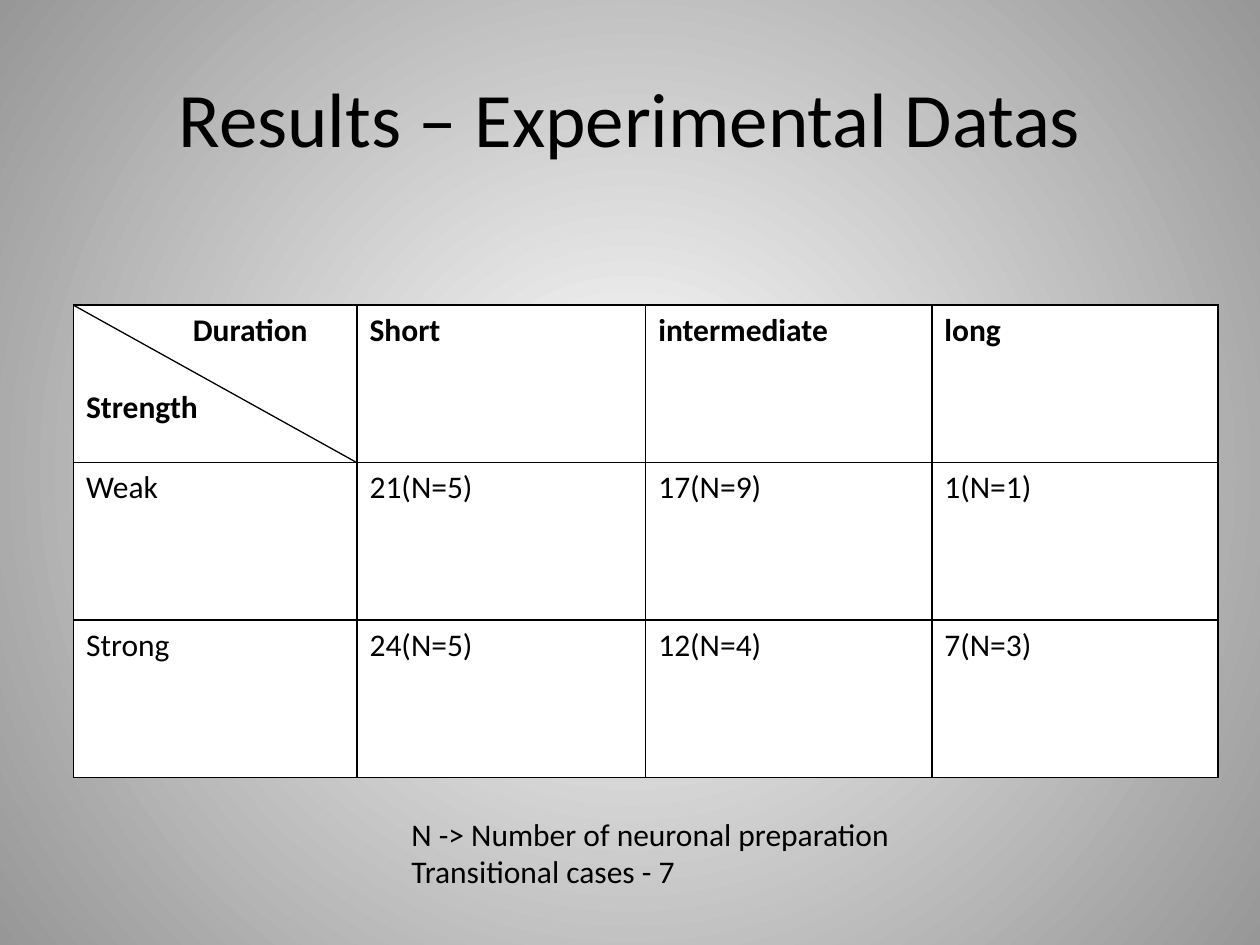
from lxml import etree
from pptx import Presentation
from pptx.dml.color import RGBColor
from pptx.enum import shapes, text
from pptx.oxml.ns import qn
from pptx.util import Pt

TITLE = "Results – Experimental Datas"
CORNER = ("Duration", "Strength")
ROWS = [
    ("\n".join(CORNER), "Short", "intermediate", "long"),
    ("Weak", "21(N=5)", "17(N=9)", "1(N=1)"),
    ("Strong", "24(N=5)", "12(N=4)", "7(N=3)"),
]
NOTES = ("N -> Number of neuronal preparation", "Transitional cases - 7")

COLORS = {"ink": "000000", "paper": "FFFFFF", "edge": "979797"}
FONT = "Calibri"
LEFT, TOP, ROW_H = 42, 174.4, 90
COL_WIDTHS = (162, 165, 163.5, 163.5)


def rgb(name):
    return RGBColor.from_string(COLORS[name])


def style(p, size, bold=False):
    p.font.name, p.font.size, p.font.bold = FONT, Pt(size), bold
    p.font.color.rgb = rgb("ink")


def radial_background(s):
    """Fill the slide with a circular gradient, light in the centre."""
    fill = s.background.fill
    fill.gradient()
    for stop, name in zip(fill.gradient_stops, ("paper", "edge")):
        stop.color.rgb = rgb(name)
    grad = next(s.element.iter(qn("a:gradFill")))
    grad.remove(grad.find(qn("a:lin")))
    circle = etree.SubElement(grad, qn("a:path"), {"path": "circle"})
    etree.SubElement(circle, qn("a:fillToRect"), dict.fromkeys("ltrb", "50000"))


def add_borders(frame):
    for props in frame.element.iter(qn("a:tcPr")):
        for i, side in enumerate(("lnL", "lnR", "lnT", "lnB")):
            ln = etree.Element(qn(f"a:{side}"), w=str(Pt(1)))
            solid = etree.SubElement(ln, qn("a:solidFill"))
            etree.SubElement(solid, qn("a:srgbClr"), val=COLORS["ink"])
            props.insert(i, ln)


def add_results(s):
    frame = s.shapes.add_table(len(ROWS), len(COL_WIDTHS), Pt(LEFT), Pt(TOP),
                               Pt(sum(COL_WIDTHS)), Pt(ROW_H * len(ROWS)))
    table = frame.table
    for col, width in zip(table.columns, COL_WIDTHS):
        col.width = Pt(width)
    for r, row in enumerate(ROWS):
        table.rows[r].height = Pt(ROW_H)
        for c, words in enumerate(row):
            cell = table.cell(r, c)
            cell.fill.solid()
            cell.fill.fore_color.rgb = rgb("paper")
            cell.text = words
            for p in cell.text_frame.paragraphs:
                style(p, 18, bold=r == 0)
    add_borders(frame)

    duration, strength = table.cell(0, 0).text_frame.paragraphs
    duration.alignment = text.PP_ALIGN.LEFT
    next(frame.element.iter(qn("a:pPr"))).set("marL", str(Pt(61)))
    strength.space_before = Pt(22)

    diagonal = s.shapes.add_connector(
        shapes.MSO_CONNECTOR.STRAIGHT, Pt(LEFT), Pt(TOP),
        Pt(LEFT + COL_WIDTHS[0]), Pt(TOP + ROW_H))
    diagonal.line.color.rgb = rgb("ink")
    diagonal.line.width = Pt(0.75)
    etree.SubElement(diagonal.element.spPr, qn("a:effectLst"))


def main():
    prs = Presentation()
    prs.slide_width, prs.slide_height = Pt(720), Pt(540)
    s = prs.slides.add_slide(prs.slide_layouts[5])
    radial_background(s)

    title = s.shapes.title
    title.left, title.top, title.width, title.height = Pt(36), Pt(21.6), Pt(648), Pt(90)
    title.text_frame.text = TITLE
    title.text_frame.vertical_anchor = text.MSO_ANCHOR.MIDDLE
    p = title.text_frame.paragraphs[0]
    p.alignment = text.PP_ALIGN.CENTER
    style(p, 44)

    add_results(s)

    tf = s.shapes.add_textbox(Pt(228), Pt(462), Pt(295), Pt(51)).text_frame
    tf.word_wrap = False
    tf.auto_size = text.MSO_AUTO_SIZE.SHAPE_TO_FIT_TEXT
    tf.text = "\n".join(NOTES)
    for p in tf.paragraphs:
        style(p, 18)

    prs.save("out.pptx")


if __name__ == "__main__":
    main()
